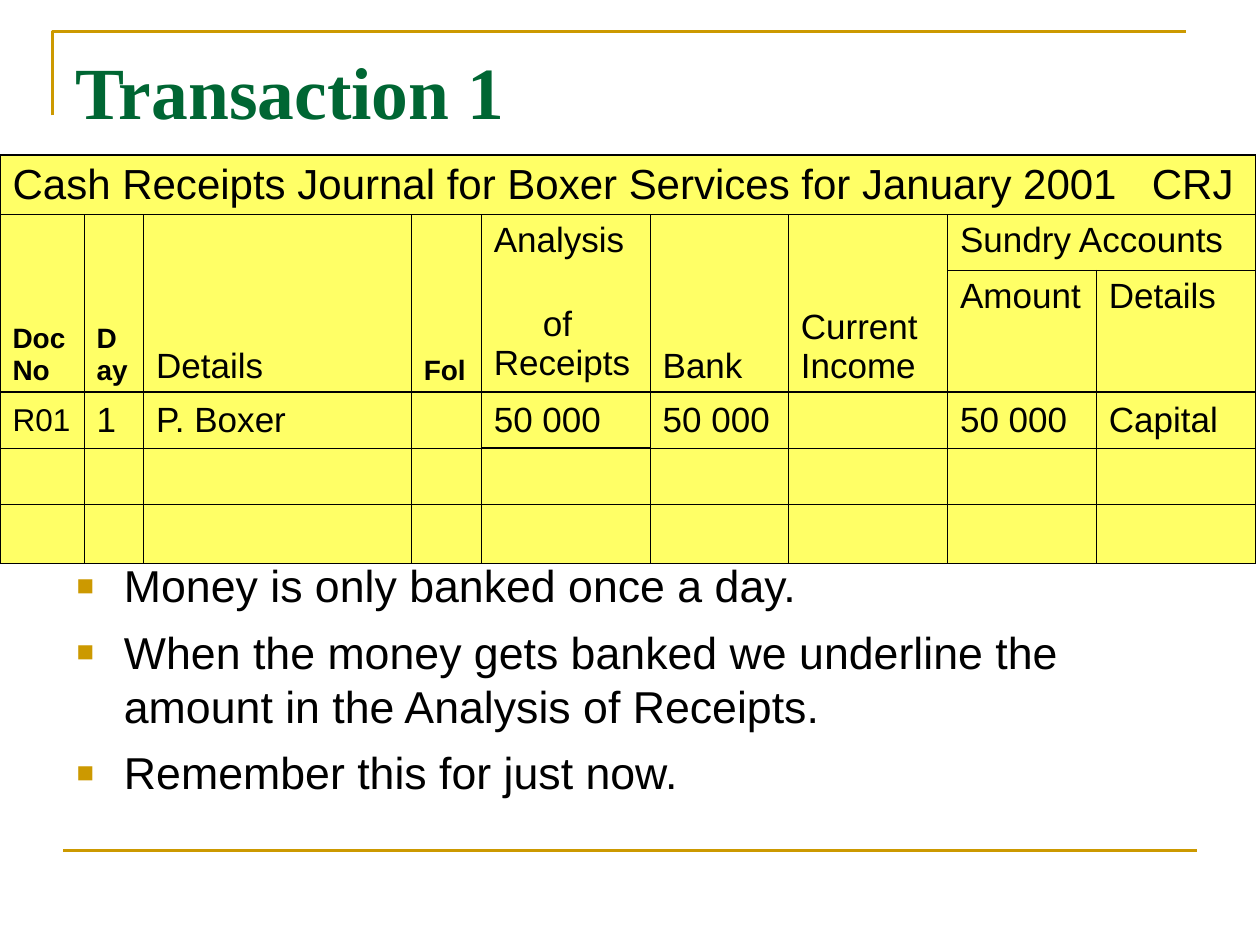
from pptx import Presentation
from pptx import util as u
from pptx.dml.color import RGBColor
from pptx.enum import shapes, text
from pptx.oxml.ns import qn
from lxml import etree

Pt = u.Pt
TOP, MIDDLE, BOTTOM = text.MSO_ANCHOR.TOP, text.MSO_ANCHOR.MIDDLE, text.MSO_ANCHOR.BOTTOM

THEME = {
    "gold": "CC9900", "green": "006633", "black": "000000", "yellow": "FFFF66",
    "sans": "Arial", "serif": "Times New Roman",
    "title": 42, "body": 25.5, "caption": 24, "cell": 20, "code": 18, "small": 16,
    "thin": 0.45, "outer": 1.08, "heavy": 1.47,
}

TITLE = "Transaction 1"
CAPTION = "Cash Receipts Journal for Boxer Services for January 2001\tCRJ"
HEADINGS = ["Doc No", "Day", "Details", "Fol", "Analysis", "Bank", "Current Income"]
NARROW = {"Doc No", "Day", "Fol"}
SUNDRY = ("Sundry Accounts", ["Amount", "Details"])
ENTRY = ["R01", "1", "P. Boxer", "", "50 000", "50 000", "", "50 000", "Capital"]
POINTS = [
    "Money is only banked once a day.",
    "When the money gets banked we underline the amount in the Analysis of Receipts.",
    "Remember this for just now.",
]

COLS = [48, 34, 153, 40, 96.5, 79, 91, 85, 91]
ROWS = [34, 32, 69.5, 32, 32, 34]
HEAD_ROW, SUB_ROW, ENTRY_ROW = 1, 2, 3
ANALYSIS = HEADINGS.index("Analysis")


def rgb(name):
    return RGBColor.from_string(THEME[name])


def add_text(p, content, size="cell", font="sans", color="black", bold=False):
    r = p.add_run()
    r.text = content
    r.font.size, r.font.name, r.font.bold = Pt(THEME[size]), THEME[font], bold
    r.font.color.rgb = rgb(color)


def add_box(s, x, y, w, h):
    tf = s.shapes.add_textbox(Pt(x), Pt(y), Pt(w), Pt(h)).text_frame
    tf.word_wrap = True
    return tf


def add_bullet(p, indent):
    pPr = p._p.get_or_add_pPr()
    pPr.set("marL", str(Pt(indent)))
    pPr.set("indent", str(-Pt(indent)))
    clr = etree.SubElement(pPr, qn("a:buClr"))
    etree.SubElement(clr, qn("a:srgbClr"), val=THEME["gold"])
    etree.SubElement(pPr, qn("a:buSzPct"), val="65000")
    etree.SubElement(pPr, qn("a:buFont"), typeface=THEME["sans"])
    etree.SubElement(pPr, qn("a:buChar"), char="■")


def set_borders(cell, weights):
    tcPr = cell._tc.get_or_add_tcPr()
    for i, (side, weight) in enumerate(weights.items()):
        ln = etree.Element(qn("a:ln" + side), w=str(Pt(THEME[weight])))
        fill = etree.SubElement(ln, qn("a:solidFill"))
        etree.SubElement(fill, qn("a:srgbClr"), val=THEME["black"])
        tcPr.insert(i, ln)


def border_weights(row, col):
    """Outer frame, heavy rule under the headings and under the banked amount."""
    def rule(edge):
        if edge in (0, len(ROWS)):
            return "outer"
        banked = edge == ENTRY_ROW + 1 and col == ANALYSIS
        return "heavy" if edge == ENTRY_ROW or banked else "thin"

    def side(edge):
        return "outer" if edge in (0, len(COLS)) else "thin"

    return {"L": side(col), "R": side(col + 1), "T": rule(row), "B": rule(row + 1)}


def add_frame(s):
    fb = s.shapes.build_freeform(Pt(30), Pt(66))
    fb.add_line_segments([(Pt(30), Pt(18)), (Pt(678), Pt(18))], close=False)
    corner = fb.convert_to_shape()
    corner.fill.background()
    corner.shadow.inherit = False
    footer = s.shapes.add_connector(shapes.MSO_CONNECTOR.STRAIGHT, Pt(36), Pt(486), Pt(684), Pt(486))
    etree.SubElement(footer._element.spPr, qn("a:effectLst"))
    for sp in (corner, footer):
        sp.line.color.rgb = rgb("gold")
        sp.line.width = Pt(1.5)


def add_journal(s):
    tbl = s.shapes.add_table(len(ROWS), len(COLS), 0, Pt(88.5), Pt(sum(COLS)), Pt(sum(ROWS))).table
    for line, size in zip(tbl.columns, COLS):
        line.width = Pt(size)
    for line, size in zip(tbl.rows, ROWS):
        line.height = Pt(size)
    for row in range(len(ROWS)):
        for col in range(len(COLS)):
            cell = tbl.cell(row, col)
            cell.fill.solid()
            cell.fill.fore_color.rgb = rgb("yellow")
            set_borders(cell, border_weights(row, col))

    def put(row, col, content, anchor=TOP, **fmt):
        cell = tbl.cell(row, col)
        cell.vertical_anchor = anchor
        if content:
            add_text(cell.text_frame.paragraphs[0], content, **fmt)

    last = len(COLS) - 1
    sundry = len(HEADINGS)
    caption, analysis = tbl.cell(0, 0), tbl.cell(HEAD_ROW, ANALYSIS)
    caption.merge(tbl.cell(0, last))
    tbl.cell(HEAD_ROW, sundry).merge(tbl.cell(HEAD_ROW, last))
    for col in range(sundry):
        tbl.cell(HEAD_ROW, col).merge(tbl.cell(SUB_ROW, col))
    for full in (caption, analysis):
        full.margin_bottom = 0

    put(0, 0, CAPTION, size="caption")
    pPr = caption.text_frame.paragraphs[0]._p.get_or_add_pPr()
    tabs = etree.SubElement(pPr, qn("a:tabLst"))
    etree.SubElement(tabs, qn("a:tab"), pos=str(Pt(651)), algn="l")

    for col, heading in enumerate(HEADINGS):
        narrow = heading in NARROW
        put(HEAD_ROW, col, heading, TOP if col == ANALYSIS else BOTTOM,
            size="small" if narrow else "cell", bold=narrow)
    p = analysis.text_frame.add_paragraph()
    p.space_before = Pt(26)
    p._p.get_or_add_pPr().set("indent", str(Pt(28)))
    add_text(p, "of Receipts")

    group, parts = SUNDRY
    put(HEAD_ROW, sundry, group)
    for col, part in enumerate(parts, sundry):
        put(SUB_ROW, col, part)
    for col, value in enumerate(ENTRY):
        put(ENTRY_ROW, col, value, MIDDLE, size="code" if col == 0 else "cell")


def add_points(s):
    tf = add_box(s, 36.75, 315.5, 648, 142)
    for i, point in enumerate(POINTS):
        p = tf.add_paragraph() if i else tf.paragraphs[0]
        if i:
            p.space_before = Pt(7.5)
        add_bullet(p, 27)
        add_text(p, point, size="body")


def main():
    prs = Presentation()
    prs.slide_width, prs.slide_height = Pt(720), Pt(540)
    s = prs.slides.add_slide(prs.slide_layouts[6])
    add_frame(s)
    tf = add_box(s, 36, 21.5, 648, 90)
    tf.margin_top = Pt(4.5)
    add_text(tf.paragraphs[0], TITLE, size="title", font="serif", color="green", bold=True)
    add_journal(s)
    add_points(s)
    prs.save("out.pptx")


if __name__ == "__main__":
    main()
